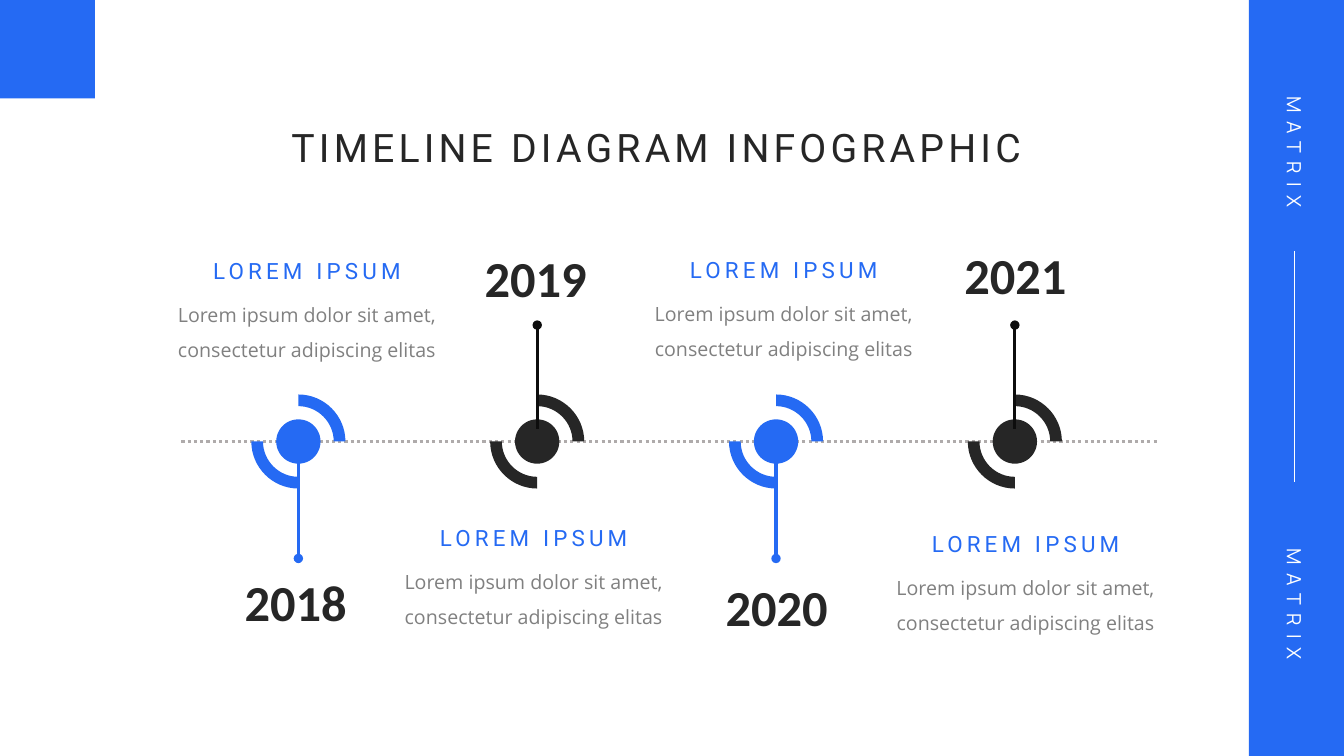
from lxml.etree import SubElement
from pptx import Presentation
from pptx.dml.color import RGBColor
from pptx.enum.dml import MSO_LINE
from pptx.enum.shapes import MSO_CONNECTOR, MSO_SHAPE
from pptx.enum.text import MSO_ANCHOR, MSO_AUTO_SIZE, PP_ALIGN
from pptx.oxml.ns import qn
from pptx.util import Inches, Pt

BLUE, DARK, BLACK = "256AF3", "262626", "0D0D0D"
GREY, SILVER, WHITE = "808080", "AFABAB", "FFFFFF"

AXIS_Y = 58.4
FIRST_X, STEP_X = 22.2, 17.77
BODY = "Lorem ipsum dolor sit amet, consectetur adipiscing elitas"
# year, year left and top, text left and top
STATIONS = [
    ("2018", 14.85, 74.93, 12.3, 33.33),
    ("2019", 32.7, 32, 29.17, 68.67),
    ("2020", 50.63, 75.6, 47.78, 33.2),
    ("2021", 68.4, 31.6, 65.77, 69.47),
]


def rgb(color):
    return RGBColor.from_string(color)


class Canvas:
    """Draws on one slide; lengths are percent of the slide's width or height."""

    def __init__(self, prs):
        self.w, self.h = prs.slide_width, prs.slide_height
        self.s = prs.slides.add_slide(prs.slide_layouts[5])

    def x(self, share):
        return round(self.w * share / 100)

    def y(self, share):
        return round(self.h * share / 100)

    def box(self, x, y, w, h):
        return self.x(x), self.y(y), self.x(w), self.y(h)

    def paint(self, sp, color):
        sp.shadow.inherit = False
        sp.fill.solid()
        sp.fill.fore_color.rgb = rgb(color)
        sp.line.fill.background()

    def rect(self, x, y, w, h, color):
        sp = self.s.shapes.add_shape(MSO_SHAPE.RECTANGLE, *self.box(x, y, w, h))
        self.paint(sp, color)

    def disc(self, cx, cy, size, color):
        """Circle around a centre; size is a share of the width."""
        d = self.x(size)
        sp = self.s.shapes.add_shape(
            MSO_SHAPE.OVAL, self.x(cx) - d // 2, self.y(cy) - d // 2, d, d)
        self.paint(sp, color)

    def line(self, x1, y1, x2, y2, color, width, dash=None, oval=None):
        """Straight line; oval names the end that carries a dot."""
        c = self.s.shapes.add_connector(
            MSO_CONNECTOR.STRAIGHT, self.x(x1), self.y(y1), self.x(x2), self.y(y2))
        c.line.color.rgb = rgb(color)
        c.line.width = Pt(width)
        if dash:
            c.line.dash_style = dash
        if oval:
            SubElement(c._element.spPr.find(qn("a:ln")), qn(f"a:{oval}"), type="oval")
        SubElement(c._element.spPr, qn("a:effectLst"))

    def arcs(self, cx, cy, outer, inner, color):
        """Upper right and lower left quarter rings as one group."""
        group = self.s.shapes.add_group_shape()
        for sign in (1, -1):
            self.quarter_ring(group, self.x(cx), self.y(cy),
                              sign * self.x(outer), sign * self.x(inner), color)

    def quarter_ring(self, group, cx, cy, outer, inner, color):
        k = 0.55  # handle length of a quarter circle
        points = [(0, outer), (k * outer, outer), (outer, k * outer), (outer, 0),
                  (inner, 0), (inner, k * inner), (k * inner, inner), (0, inner)]
        points = [(round(cx + dx), round(cy - dy)) for dx, dy in points]
        builder = group.shapes.build_freeform(*points[0])
        builder.add_line_segments(points[1:], close=True)
        sp = builder.convert_to_shape()
        segments = list(sp._element.iter(qn("a:lnTo")))
        for curve in (segments[0:3], segments[4:7]):
            bezier = curve[0].makeelement(qn("a:cubicBezTo"))
            curve[0].addprevious(bezier)
            for segment in curve:
                bezier.append(segment[0])
                segment.getparent().remove(segment)
        self.paint(sp, color)

    def put_text(self, sp, text, size, font, color, bold=False, spacing=0,
                 align=PP_ALIGN.CENTER, leading=None):
        tf = sp.text_frame
        tf.word_wrap = True
        tf.auto_size = MSO_AUTO_SIZE.SHAPE_TO_FIT_TEXT
        tf.vertical_anchor = MSO_ANCHOR.TOP
        p = tf.paragraphs[0]
        p.alignment = align
        if leading:
            p.line_spacing = leading
        r = p.add_run()
        r.text = text
        r.font.size, r.font.name, r.font.bold = Pt(size), font, bold
        r.font.color.rgb = rgb(color)
        if spacing:
            r._r.get_or_add_rPr().set("spc", str(spacing * 100))

    def text(self, x, y, w, h, text, rotation=0, **style):
        sp = self.s.shapes.add_textbox(*self.box(x, y, w, h))
        sp.rotation = rotation
        self.put_text(sp, text, **style)

    def title(self, x, y, w, h, text, **style):
        sp = self.s.shapes.title
        sp.left, sp.top, sp.width, sp.height = self.box(x, y, w, h)
        self.put_text(sp, text, **style)


def draw_frame(c):
    c.rect(92.93, 0, 7.07, 100, BLUE)
    c.rect(0, 0, 7.07, 13, BLUE)
    c.line(96.3, 33.2, 96.3, 63.73, WHITE, 0.5)
    for y in (17.87, 77.6):
        c.text(88.95, y, 14.7, 4.53, "MATRIX", rotation=90,
               size=14, font="Manrope", color=WHITE, spacing=6)


def draw_station(c, i, year, year_x, year_y, text_x, text_y):
    cx = FIRST_X + i * STEP_X
    below = i % 2 == 0
    color = BLUE if below else DARK
    c.arcs(cx, AXIS_Y, 3.5, 2.63, color)
    c.disc(cx, AXIS_Y, 3.3, color)
    c.disc(cx, AXIS_Y, 1.8, color)
    if below:
        c.line(cx, 60, cx, 73.87, BLUE, 2.25, oval="tailEnd")
    else:
        c.line(cx, 43, cx, 56.8, BLACK, 2.25, oval="headEnd")
    c.text(year_x, year_y, 14.32, 9.47, year,
           size=36, font="Calibri", color=DARK, bold=True)
    c.text(text_x, text_y, 21.08, 4.93, "LOREM IPSUM",
           size=16, font="Roboto", color=BLUE, spacing=3)
    c.text(text_x, text_y + 4.5, 21.08, 10.27, BODY,
           size=14, font="Open Sans", color=GREY, leading=1.5)


def main():
    prs = Presentation()
    prs.slide_width, prs.slide_height = Inches(13.33), Inches(7.5)
    c = Canvas(prs)
    draw_frame(c)
    c.title(20.93, 15.6, 58.13, 7.6, "TIMELINE DIAGRAM INFOGRAPHIC",
            size=28, font="Roboto", color=DARK, spacing=3, align=PP_ALIGN.LEFT)
    c.line(13.5, AXIS_Y, 86.1, AXIS_Y, SILVER, 2.25, dash=MSO_LINE.ROUND_DOT)
    for i, station in enumerate(STATIONS):
        draw_station(c, i, *station)
    prs.save("out.pptx")


if __name__ == "__main__":
    main()
